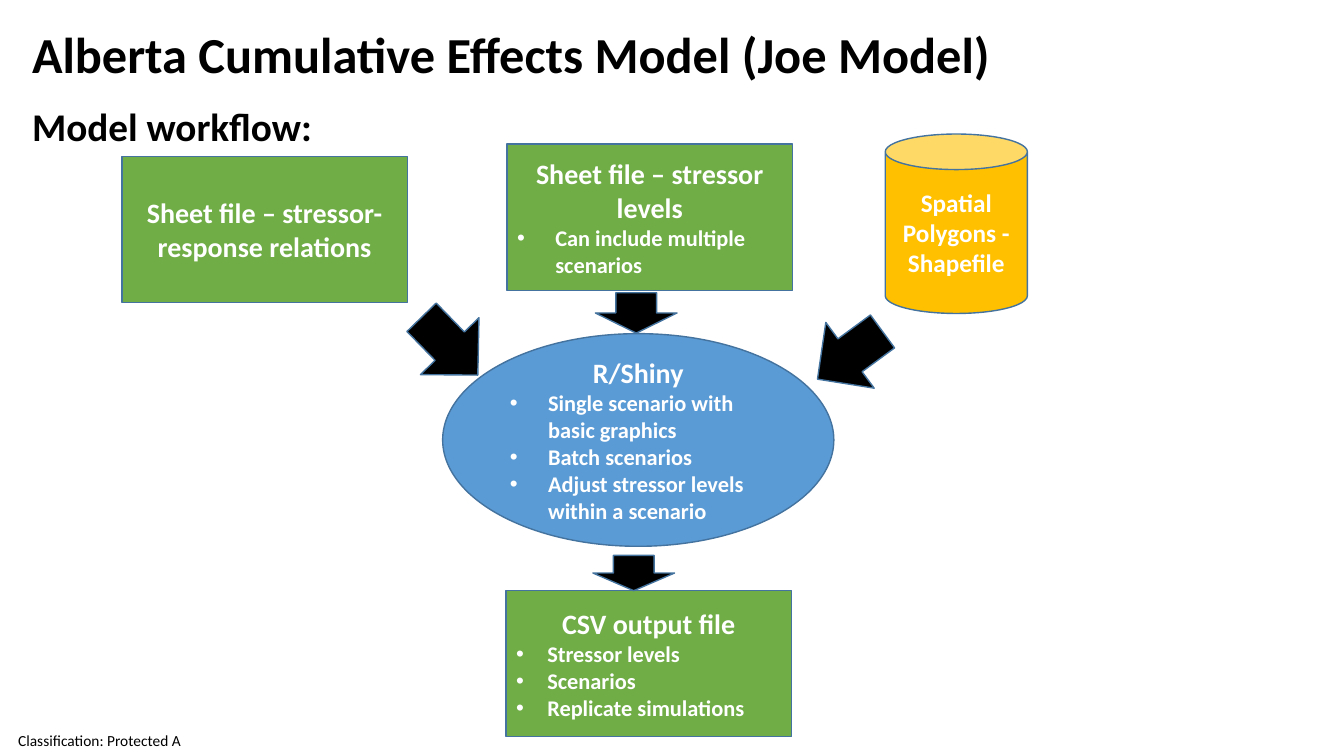
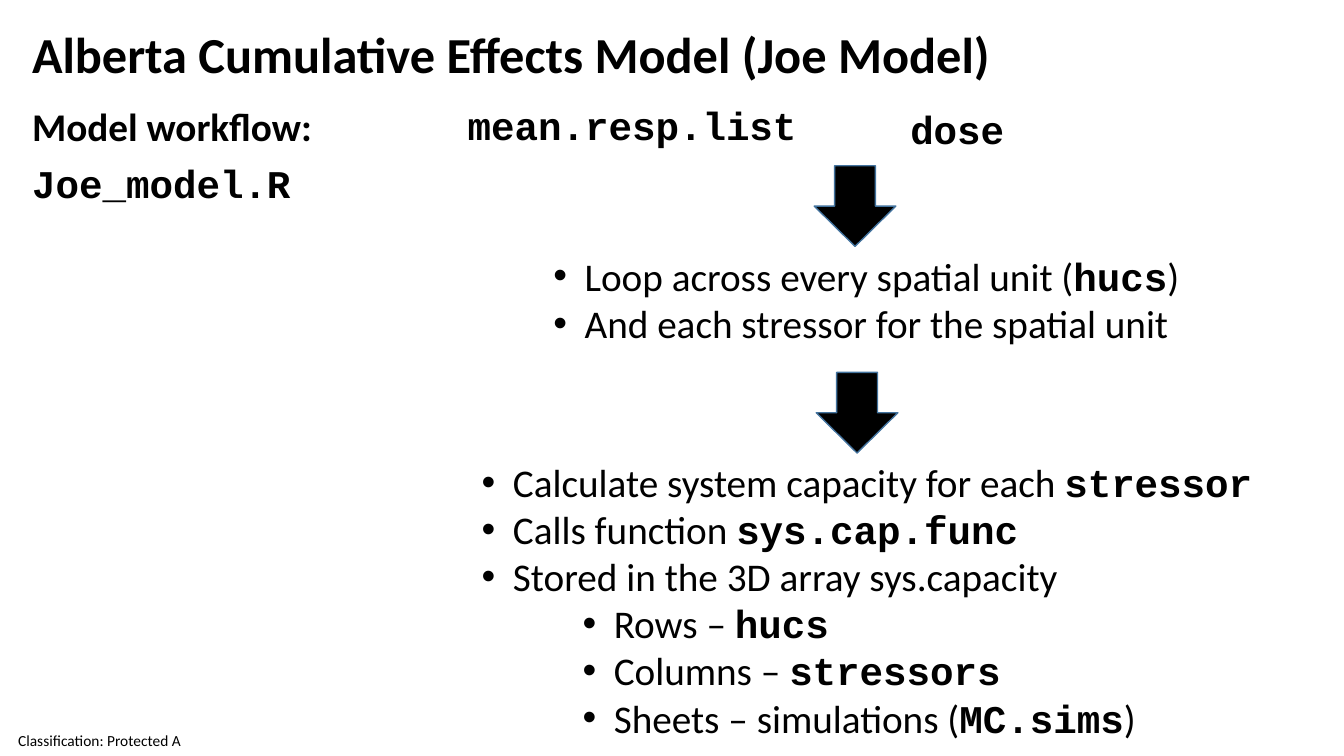
from collections import namedtuple

from lxml import etree
from pptx import Presentation
from pptx.dml.color import RGBColor
from pptx.enum.shapes import MSO_SHAPE
from pptx.enum.text import MSO_ANCHOR, PP_ALIGN
from pptx.oxml.ns import qn
from pptx.util import Emu, Pt

PX = 9144
BLANK_LAYOUT = 6

BLACK = RGBColor(0x00, 0x00, 0x00)
WHITE = RGBColor(0xFF, 0xFF, 0xFF)
GREEN = RGBColor(0x70, 0xAD, 0x47)
BLUE = RGBColor(0x5B, 0x9B, 0xD5)
GOLD = RGBColor(0xFF, 0xC0, 0x00)
OUTLINE = RGBColor(0x43, 0x73, 0x9E)

RECTANGLE = MSO_SHAPE.RECTANGLE
ELLIPSE = MSO_SHAPE.OVAL
CAN = MSO_SHAPE.CAN
RIGHT_ARROW = MSO_SHAPE.RIGHT_ARROW
TOP = MSO_ANCHOR.TOP
MIDDLE = MSO_ANCHOR.MIDDLE
LEFT = PP_ALIGN.LEFT
CENTER = PP_ALIGN.CENTER

Box = namedtuple("Box", "left top width height")
Style = namedtuple("Style", "size color bold font", defaults=(BLACK, False, "Calibri"))
Paragraph = namedtuple("Paragraph", "runs align indent level", defaults=(LEFT, 0, 0))

FOOTER = Style(11)
TITLE = Style(36, bold=True)
SUBTITLE = Style(28, bold=True)
BODY = Style(28)
CODE = Style(28, bold=True, font="Courier New")
NODE_TITLE = Style(20, WHITE, True)
NODE_ITEM = Style(16, WHITE, True)
CAN_LABEL = Style(18, WHITE, True)

BULLET_INDENT = 31
LEVEL_STEP = 50
NODE_WIDTH, NODE_HEIGHT = 283, 145
ARROW_LENGTH, ARROW_BREADTH = 80, 81


def px(length):
    return Emu(length * PX)


def emu_box(box):
    return [px(length) for length in box]


def within(frame, left, top, width, height):
    return Box(frame.left + left, frame.top + top, width, height)


def line(text, style, align=LEFT):
    return Paragraph([(text, style)], align)


def bullet(*runs, indent=BULLET_INDENT, level=0):
    return Paragraph(runs, LEFT, indent, level)


def set_bullet(paragraph, indent, level):
    paragraph.level = level
    properties = paragraph._p.get_or_add_pPr()
    properties.set("marL", str(px(indent + level * LEVEL_STEP)))
    properties.set("indent", str(-px(indent)))
    etree.SubElement(properties, qn("a:buFont")).set("typeface", "Arial")
    etree.SubElement(properties, qn("a:buChar")).set("char", "•")


def write(frame, paragraphs, anchor):
    frame.word_wrap = True
    frame.vertical_anchor = anchor
    for index, content in enumerate(paragraphs):
        paragraph = frame.add_paragraph() if index else frame.paragraphs[0]
        paragraph.alignment = content.align
        if content.indent:
            set_bullet(paragraph, content.indent, content.level)
        for text, style in content.runs:
            run = paragraph.add_run()
            run.text = text
            run.font.name = style.font
            run.font.size = Pt(style.size)
            run.font.bold = style.bold
            run.font.color.rgb = style.color


def add_text(slide, box, *paragraphs, anchor=TOP):
    frame = slide.shapes.add_textbox(*emu_box(box)).text_frame
    write(frame, paragraphs, anchor)
    return frame


def add_node(slide, preset, box, color, *paragraphs):
    node = slide.shapes.add_shape(preset, *emu_box(box))
    node.shadow.inherit = False
    node.fill.solid()
    node.fill.fore_color.rgb = color
    node.line.color.rgb = OUTLINE
    node.line.width = Pt(1)
    write(node.text_frame, paragraphs, MIDDLE)
    return node


def add_arrow(slide, frame, left, top, length=ARROW_LENGTH, rotation=90):
    box = within(frame, left, top, length, ARROW_BREADTH)
    add_node(slide, RIGHT_ARROW, box, BLACK).rotation = rotation


def node_text(title, items=(), indent=38):
    return [line(title, NODE_TITLE, CENTER)] + [
        bullet((item, NODE_ITEM), indent=indent) for item in items
    ]


def add_header(slide, frame):
    add_text(slide, within(frame, 0, 0, 982, 71),
             line("Alberta Cumulative Effects Model (Joe Model)", TITLE))
    add_text(slide, within(frame, 0, 79, frame.width, 57),
             line("Model workflow:", SUBTITLE))


def add_footer(slide, box):
    frame = add_text(slide, box, line("Classification: Protected A", FOOTER), anchor=MIDDLE)
    frame.margin_left = px(18)
    frame.margin_right = frame.margin_top = frame.margin_bottom = 0


def add_workflow(slide, frame):
    files = [
        (0, 22, node_text("Sheet file – stressor-response relations")),
        (382, 10, node_text("Sheet file – stressor levels",
                            ["Can include multiple scenarios"])),
        (381, 453, node_text("CSV output file",
                             ["Stressor levels", "Scenarios", "Replicate simulations"],
                             BULLET_INDENT)),
    ]
    for left, top, text in files:
        box = within(frame, left, top, NODE_WIDTH, NODE_HEIGHT)
        add_node(slide, RECTANGLE, box, GREEN, *text)
    add_node(slide, ELLIPSE, within(frame, 318, 198, 388, 211), BLUE,
             *node_text("R/Shiny", ["Single scenario with basic graphics",
                                    "Batch scenarios",
                                    "Adjust stressor levels within a scenario"]))
    add_node(slide, CAN, within(frame, 757, 0, 141, 178), GOLD,
             line("Spatial Polygons - Shapefile", CAN_LABEL, CENTER))
    add_arrow(slide, frame, 285, 170, rotation=45.8)
    add_arrow(slide, frame, 490, 395, length=35)
    add_arrow(slide, frame, 490, 137, length=40)
    add_arrow(slide, frame, 682, 179, rotation=143.7)


def add_capacity_steps(slide, frame):
    add_text(slide, within(frame, 0, 0, 573, 57), line("mean.resp.list", CODE))
    add_text(slide, within(frame, 439, 4, 222, 57), line("dose", CODE))
    add_arrow(slide, frame, 354, 68)
    add_text(slide, within(frame, 85, 149, 648, 104),
             bullet(("Loop across every spatial unit (", BODY), ("hucs", CODE), (")", BODY)),
             bullet(("And each stressor for the spatial unit", BODY)))
    add_arrow(slide, frame, 356, 273)
    add_text(slide, within(frame, 14, 354, 800, 293),
             bullet(("Calculate system capacity for each ", BODY), ("stressor", CODE)),
             bullet(("Calls function ", BODY), ("sys.cap.func", CODE)),
             bullet(("Stored in the 3D array sys.capacity", BODY)),
             bullet(("Rows – ", BODY), ("hucs", CODE), level=2),
             bullet(("Columns – ", BODY), ("stressors", CODE), level=2),
             bullet(("Sheets – simulations (", BODY), ("MC.sims", CODE), (")", BODY), level=2))


def add_slide(presentation):
    slide = presentation.slides.add_slide(presentation.slide_layouts[BLANK_LAYOUT])
    add_footer(slide, Box(0, 719, 197, 31))
    add_header(slide, Box(22, 18, 1246, 136))
    return slide


def main():
    presentation = Presentation()
    presentation.slide_width = px(1333)
    presentation.slide_height = px(750)

    add_workflow(add_slide(presentation), Box(121, 133, 898, 598))

    script_slide = add_slide(presentation)
    add_text(script_slide, Box(22, 153, 279, 57), line("Joe_model.R", CODE))
    add_capacity_steps(script_slide, Box(454, 96, 814, 647))

    presentation.save("out.pptx")


if __name__ == "__main__":
    main()
